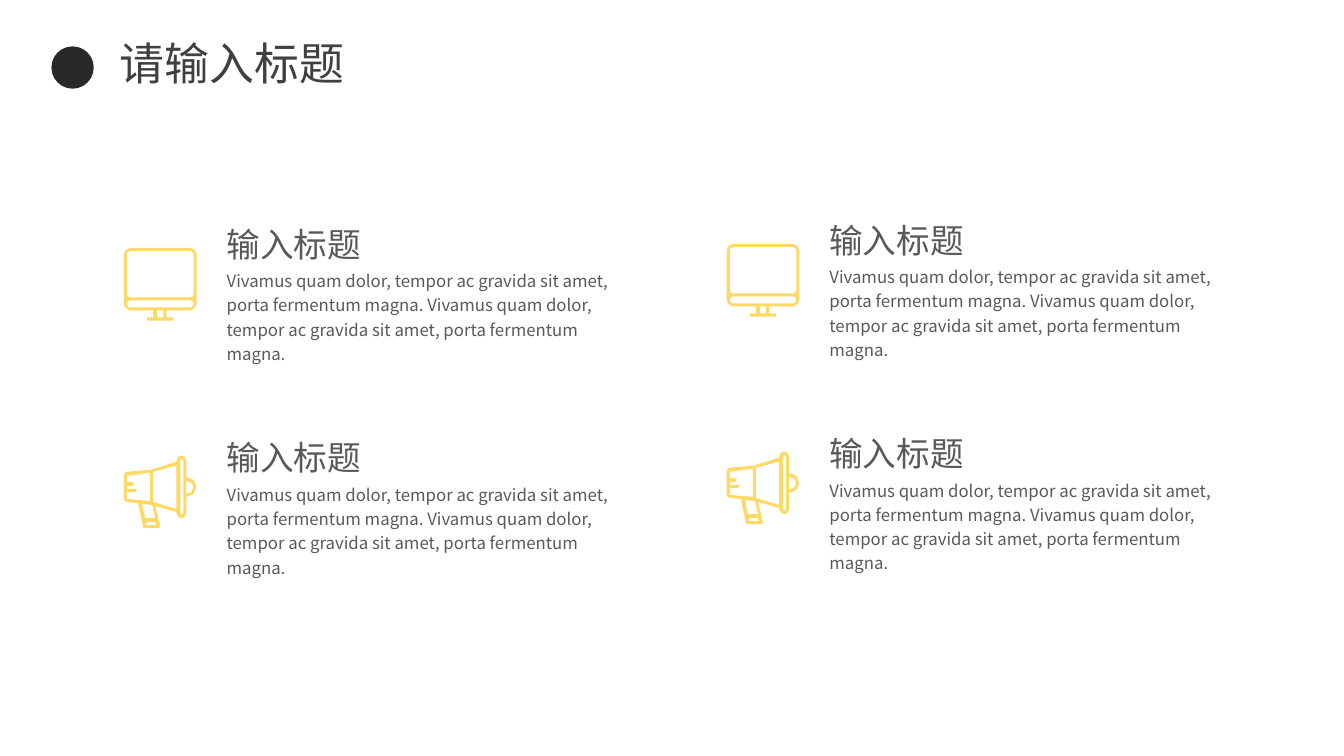
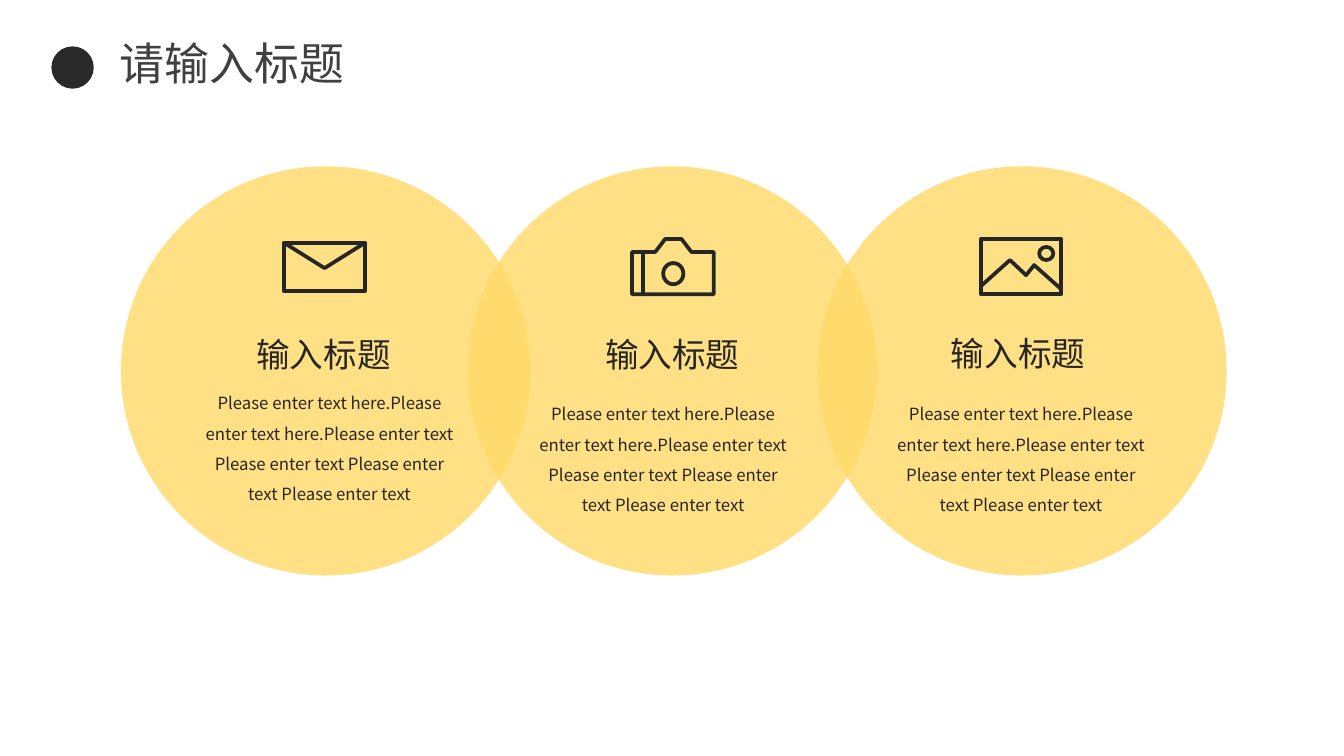
from pptx import Presentation
from pptx.dml.color import RGBColor
from pptx.enum.shapes import MSO_CONNECTOR, MSO_SHAPE
from pptx.enum.text import MSO_ANCHOR, MSO_AUTO_SIZE, PP_ALIGN
from pptx.oxml.ns import qn
from pptx.util import Inches, Pt
from lxml import etree

OVAL, RECTANGLE = MSO_SHAPE.OVAL, MSO_SHAPE.RECTANGLE
STRAIGHT = MSO_CONNECTOR.STRAIGHT
LEFT, CENTER = PP_ALIGN.LEFT, PP_ALIGN.CENTER
TOP, NO_AUTOFIT = MSO_ANCHOR.TOP, MSO_AUTO_SIZE.NONE

FONT = "Noto Sans CJK SC"
YELLOW, DOT, INK = "FFD966", "292929", "262626"
TITLE_GRAY, TEXT_GRAY = "404040", "595959"
TITLE_ONLY = 5

PAGE_TITLE = "请输入标题"
ITEM_TITLE = "输入标题"
ITEM_TEXT = ("Vivamus quam dolor, tempor ac gravida sit amet, porta fermentum magna. "
             "Vivamus quam dolor, tempor ac gravida sit amet, porta fermentum magna.")
CIRCLE_TEXT = ("Please enter text here.Please enter text here."
               "Please enter text Please enter text Please enter text Please enter text")


def color(value):
    return RGBColor.from_string(value)


def write(shape, text, size, text_color, align=LEFT, spacing=1.0):
    frame = shape.text_frame
    frame.text = text
    frame.word_wrap = True
    frame.auto_size = NO_AUTOFIT
    frame.vertical_anchor = TOP
    paragraph = frame.paragraphs[0]
    paragraph.alignment = align
    paragraph.line_spacing = spacing
    for run in paragraph.runs:
        run.font.size = Pt(size)
        run.font.name = FONT
        run.font.color.rgb = color(text_color)
        east_asian = etree.SubElement(run.font._element, qn("a:ea"))
        east_asian.set("typeface", FONT)


def add_text(slide, box, text, size, text_color, align=LEFT, spacing=1.0):
    shape = slide.shapes.add_textbox(*map(Inches, box))
    write(shape, text, size, text_color, align, spacing)


def paint(shape, fill):
    shape.shadow.inherit = False
    shape.fill.solid()
    shape.fill.fore_color.rgb = color(fill)
    shape.line.fill.background()


def add_disc(slide, left, top, diameter, fill, opacity=100):
    disc = slide.shapes.add_shape(OVAL, *map(Inches, (left, top, diameter, diameter)))
    paint(disc, fill)
    if opacity < 100:
        fill_color = disc._element.spPr.find(".//" + qn("a:srgbClr"))
        etree.SubElement(fill_color, qn("a:alpha")).set("val", str(opacity * 1000))


def rounded_box(left, top, right, bottom, radius):
    """Corner points of a box, each corner cut by two short edges."""
    near, bend = radius, round(radius * 0.3, 2)
    return [(left, top + near), (left + bend, top + bend), (left + near, top),
            (right - near, top), (right - bend, top + bend), (right, top + near),
            (right, bottom - near), (right - bend, bottom - bend), (right - near, bottom),
            (left + near, bottom), (left + bend, bottom - bend), (left, bottom - near)]


# Filled icons: the outer contours first, then the holes inside them.
MONITOR = (
    rounded_box(0, 0, 0.72, 0.62, 0.06),
    [(0.29, 0.62), (0.42, 0.62), (0.42, 0.69), (0.49, 0.69), (0.49, 0.72),
     (0.23, 0.72), (0.23, 0.69), (0.29, 0.69)],
    rounded_box(0.03, 0.03, 0.69, 0.49, 0.03),
    rounded_box(0.03, 0.52, 0.69, 0.59, 0.03),
    [(0.33, 0.62), (0.39, 0.62), (0.39, 0.69), (0.33, 0.69)],
)
MEGAPHONE = (
    [(0.62, 0.21), (0.62, 0.05), (0.6, 0.01), (0.57, 0), (0.54, 0.01), (0.52, 0.05),
     (0.52, 0.06), (0.27, 0.14), (0.03, 0.16), (0.01, 0.17), (0, 0.2), (0, 0.43),
     (0.01, 0.45), (0.03, 0.46), (0.14, 0.47), (0.19, 0.71), (0.21, 0.72), (0.34, 0.72),
     (0.36, 0.7), (0.31, 0.5), (0.52, 0.56), (0.52, 0.57), (0.54, 0.61), (0.57, 0.62),
     (0.6, 0.61), (0.62, 0.57), (0.62, 0.41), (0.69, 0.38), (0.72, 0.31), (0.69, 0.24)],
    [(0.62, 0.38), (0.62, 0.25), (0.67, 0.27), (0.69, 0.31), (0.67, 0.36)],
    [(0.56, 0.05), (0.57, 0.03), (0.59, 0.05), (0.59, 0.57), (0.57, 0.59), (0.56, 0.57)],
    [(0.52, 0.53), (0.29, 0.46), (0.29, 0.16), (0.52, 0.1)],
    [(0.31, 0.66), (0.32, 0.69), (0.22, 0.69), (0.22, 0.66)],
    [(0.21, 0.62), (0.18, 0.48), (0.28, 0.49), (0.31, 0.62)],
    [(0.03, 0.43), (0.03, 0.36), (0.11, 0.36), (0.13, 0.34), (0.11, 0.33), (0.03, 0.33),
     (0.03, 0.3), (0.08, 0.3), (0.1, 0.28), (0.08, 0.26), (0.03, 0.26), (0.03, 0.2),
     (0.26, 0.17), (0.26, 0.45)],
)


def add_filled_icon(slide, left, top, contours):
    builder = None
    for contour in contours:
        first, *rest = [(Inches(left + x), Inches(top + y)) for x, y in contour]
        if builder is None:
            builder = slide.shapes.build_freeform(*first)
        else:
            builder.move_to(*first)
        builder.add_line_segments(rest, close=True)
    paint(builder.convert_to_shape(), YELLOW)


class LineIcon:
    """A group of round-ended strokes, placed relative to its top left corner."""

    def __init__(self, slide, left, top):
        self.shapes = slide.shapes.add_group_shape().shapes
        self.left, self.top = left, top

    def at(self, x, y):
        return Inches(self.left + x), Inches(self.top + y)

    def stroke(self, shape):
        shape.line.width = Pt(2.7)
        shape.line.color.rgb = color(INK)
        properties = shape._element.spPr
        outline = properties.find(qn("a:ln"))
        outline.set("cap", "rnd")
        etree.SubElement(outline, qn("a:round"))
        etree.SubElement(properties, qn("a:effectLst"))

    def preset(self, kind, x, y, width, height):
        shape = self.shapes.add_shape(kind, *self.at(x, y), Inches(width), Inches(height))
        shape.fill.background()
        self.stroke(shape)

    def line(self, x1, y1, x2, y2):
        self.stroke(self.shapes.add_connector(STRAIGHT, *self.at(x1, y1), *self.at(x2, y2)))

    def outline(self, *points, close=False):
        first, *rest = [self.at(*point) for point in points]
        builder = self.shapes.build_freeform(*first)
        builder.add_line_segments(rest, close=close)
        shape = builder.convert_to_shape()
        shape.fill.background()
        self.stroke(shape)


def draw_envelope(icon):
    icon.preset(RECTANGLE, 0, 0.04, 0.8, 0.48)
    icon.outline((0, 0.04), (0.4, 0.29), (0.8, 0.04))


def draw_camera(icon):
    icon.outline((0.59, 0.13), (0.49, 0), (0.33, 0), (0.23, 0.13), (0, 0.13),
                 (0, 0.55), (0.81, 0.55), (0.81, 0.13), close=True)
    icon.preset(OVAL, 0.31, 0.24, 0.2, 0.21)
    icon.line(0.11, 0.13, 0.11, 0.55)


def draw_landscape(icon):
    icon.preset(RECTANGLE, 0, 0, 0.8, 0.55)
    icon.outline((0, 0.47), (0.29, 0.21), (0.45, 0.36), (0.53, 0.26), (0.8, 0.5))
    icon.preset(OVAL, 0.58, 0.08, 0.14, 0.13)


def add_titled_slide(presentation):
    slide = presentation.slides.add_slide(presentation.slide_layouts[TITLE_ONLY])
    add_disc(slide, 0.51, 0.46, 0.42, DOT)
    title = slide.shapes.title
    title.left, title.top, title.width, title.height = map(Inches, (1.09, 0.3, 2.45, 0.64))
    write(title, PAGE_TITLE, 32, TITLE_GRAY)
    title.text_frame.word_wrap = False
    return slide


def add_item(slide, left, top, contours, icon_drop):
    add_filled_icon(slide, left, top + icon_drop, contours)
    for drop, height, text, size in ((0, 0.55, ITEM_TITLE, 24), (0.51, 0.83, ITEM_TEXT, 12)):
        add_text(slide, (left + 0.92, top + drop, 4.01, height), text, size, TEXT_GRAY,
                 spacing=1.2)


def build_items_slide(presentation):
    slide = add_titled_slide(presentation)
    row_pitch = 2.12
    rows = ((MONITOR, 0.37), (MEGAPHONE, 0.31))
    for left, top in ((1.23, 2.09), (7.21, 2.05)):
        for row, (contours, icon_drop) in enumerate(rows):
            add_item(slide, left, top + row * row_pitch, contours, icon_drop)


def add_circle_content(slide, left, top, draw_icon, icon_shift, title_offset, text_offset):
    draw_icon(LineIcon(slide, left + icon_shift, top + 0.72))
    for (x, y), height, text, size, spacing in (
            (title_offset, 0.5, ITEM_TITLE, 24, 1.0),
            (text_offset, 1.28, CIRCLE_TEXT, 12, 1.5)):
        add_text(slide, (left + x, top + y, 2.7, height), text, size, INK, CENTER, spacing)


def build_circles_slide(presentation):
    slide = add_titled_slide(presentation)
    top = 1.65
    circles = (
        (1.2, draw_envelope, 1.62, (0.66, 1.61), (0.72, 2.1)),
        (4.64, draw_camera, 1.63, (0.68, 1.61), (0.59, 2.21)),
        (8.11, draw_landscape, 1.62, (0.64, 1.6), (0.67, 2.21)),
    )
    for left, *_ in circles:
        add_disc(slide, left, top, 4.06, YELLOW, opacity=80)
    for left, *content in circles:
        add_circle_content(slide, left, top, *content)


def main():
    presentation = Presentation()
    presentation.slide_width = Inches(40 / 3)
    presentation.slide_height = Inches(7.5)
    build_items_slide(presentation)
    build_circles_slide(presentation)
    presentation.save("out.pptx")


if __name__ == "__main__":
    main()
